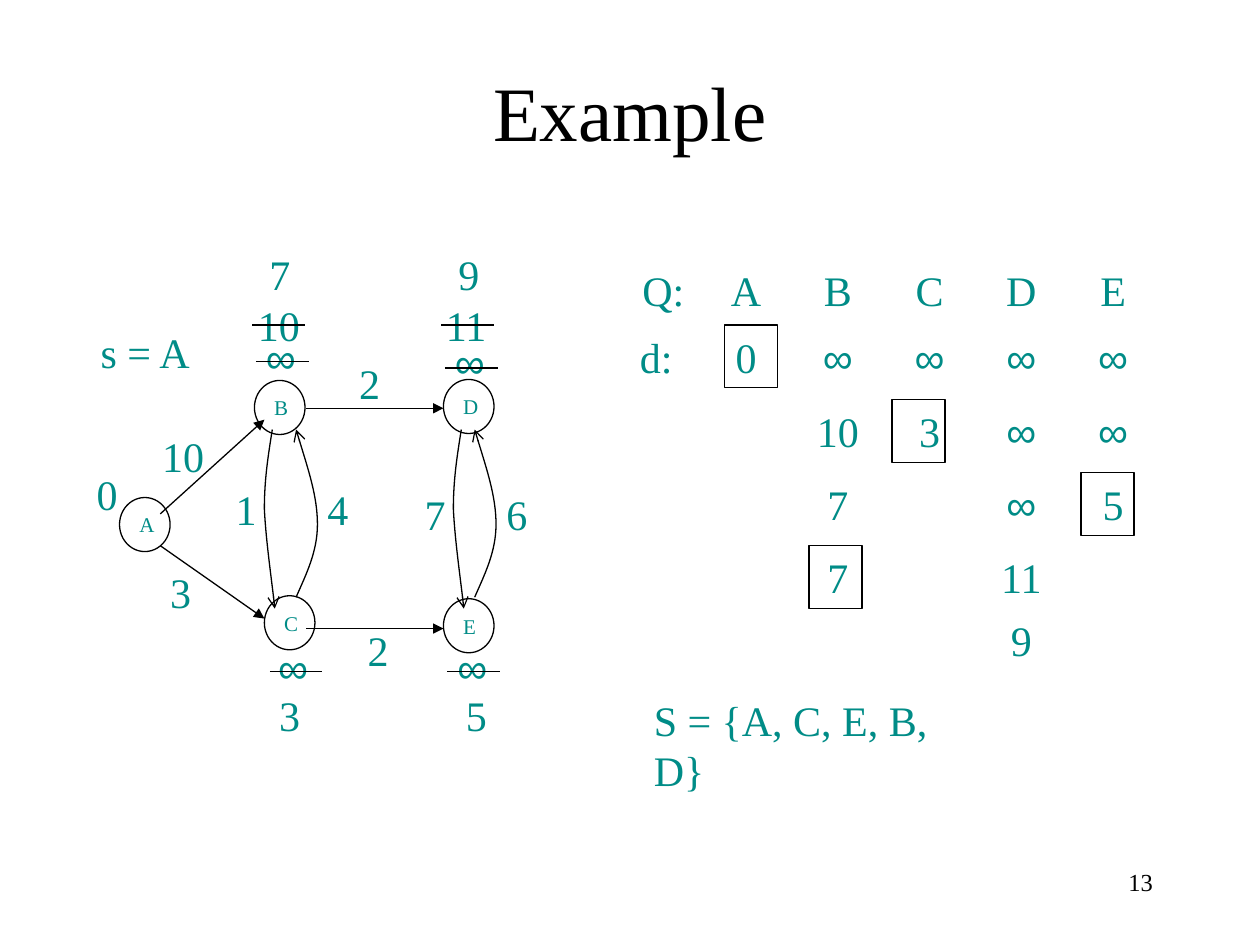
from typing import NamedTuple

from lxml.etree import SubElement
from pptx import Presentation
from pptx.dml.color import RGBColor
from pptx.enum.shapes import MSO_CONNECTOR, MSO_SHAPE
from pptx.enum.text import MSO_ANCHOR, PP_ALIGN
from pptx.oxml.ns import qn
from pptx.util import Cm, Pt

COLORS = {"ink": "000000", "teal": "008C87"}
SERIF, SANS = "Times New Roman", "Arial"
INFINITY = "∞"
LINE_WIDTH = Pt(0.75)
TEXT_HEIGHT = 1.27
TEXT_INSET = 0.25
NODE_SIZE = (1.02, 1.09)
MARK_SIZE = (1.07, TEXT_HEIGHT)
STRIKE_LENGTH = 1.06
FIRST_COLUMN, COLUMN_STEP = 15.04, 1.85
COLUMNS = "ABCDE"


class Label(NamedTuple):
    text: str
    left: float
    top: float
    width: float = 0.92


class Edge(NamedTuple):
    start: tuple[float, float]
    end: tuple[float, float]


class Row(NamedTuple):
    left: float
    top: float
    width: float
    cells: dict[str, str]
    heading: str = ""


NODES = [
    Label("A", 2.41, 10.03),
    Label("B", 5.13, 7.67),
    Label("C", 5.33, 12.01),
    Label("D", 8.94, 7.65),
    Label("E", 8.94, 12.07),
]
EDGES = [
    Edge((3.23, 10.36), (5.33, 8.46)),
    Edge((3.23, 11), (5.33, 12.47)),
    Edge((6.17, 8.23), (8.94, 8.23)),
    Edge((6.17, 12.67), (8.94, 12.67)),
]
DOWN_CURVE = [(5.49, 8.66), (5.41, 9.17), (5.33, 9.65), (5.33, 10.26),
              (5.36, 10.87), (5.51, 11.94), (5.54, 12.27)]
UP_CURVE = [(5.97, 12.04), (6.17, 11.58), (6.4, 11.13), (6.4, 10.57),
            (6.4, 10.01), (6.17, 9.33), (5.97, 8.66)]
CURVES = [(DOWN_CURVE, 0), (UP_CURVE, 0), (DOWN_CURVE, 3.81), (UP_CURVE, 3.6)]
EDGE_WEIGHTS = [
    Label("10", 3.02, 8.56, 1.35),
    Label("2", 6.99, 7.09),
    Label("3", 3.18, 11.3),
    Label("1", 4.5, 9.63),
    Label("4", 6.35, 9.63),
    Label("7", 8.31, 9.73),
    Label("6", 9.96, 9.73),
    Label("2", 7.16, 12.47),
]
DISTANCES = [
    Label("s = A", 1.78, 6.45, 2.34),
    Label("0", 1.7, 9.32),
    Label(INFINITY, 5.11, 6.55, 1.14),
    Label(INFINITY, 8.92, 6.65, 1.14),
    Label(INFINITY, 8.97, 12.8, 1.14),
    Label(INFINITY, 5.36, 12.8, 1.14),
    Label("3", 5.38, 13.77),
    Label("5", 9.14, 13.77),
    Label("10", 4.95, 5.92, 1.35),
    Label("7", 5.18, 4.88),
    Label("11", 8.74, 5.92, 1.35),
    Label("9", 8.99, 4.88),
]
STRIKES = [(5.16, 7.29), (8.97, 7.42), (9.02, 13.54),
           (5.44, 13.54), (5.08, 6.55), (8.89, 6.55)]
ROWS = [
    Row(12.7, 5.21, 10.36, {name: name for name in COLUMNS}, "Q:"),
    Row(12.65, 6.55, 10.49, {"A": "0"} | dict.fromkeys("BCDE", INFINITY), "d:"),
    Row(16.05, 8.05, 7.06, {"B": "10", "C": "3", "D": INFINITY, "E": INFINITY}),
    Row(16.08, 9.53, 7.06, {"B": "7", "D": INFINITY, "E": "5"}),
    Row(16.1, 11, 6.43, {"B": "7", "D": "11"}),
    Row(16.1, 12.27, 6.22, {"D": "9"}),
]
MARKS = [(14.61, 6.55), (17.98, 8.05), (21.79, 9.53), (16.31, 11)]
RESULT = Label("S = {A, C, E, B, D}", 12.93, 13.87, 7.24)
PAGE_NUMBER = Label("13", 18.21, 17.35, 5.28)


def add_run(paragraph, text: str, size: float = 24, color: str = "teal") -> None:
    run = paragraph.add_run()
    run.text = text
    settings = {"name": SANS if INFINITY in text else SERIF, "size": Pt(size)}
    for name, value in settings.items():
        setattr(run.font, name, value)
    run.font.color.rgb = RGBColor.from_string(COLORS[color])


def style_line(shape, arrowhead: str = ""):
    shape.line.width = LINE_WIDTH
    shape.line.color.rgb = RGBColor.from_string(COLORS["ink"])
    if arrowhead:
        SubElement(shape.line._get_or_add_ln(), qn("a:tailEnd"), type=arrowhead)
    return shape


def style_outline(shape, arrowhead: str = ""):
    shape.shadow.inherit = False
    shape.fill.background()
    return style_line(shape, arrowhead)


def add_outline(slide, kind: MSO_SHAPE, left: float, top: float, size: tuple[float, float]):
    return style_outline(slide.shapes.add_shape(kind, Cm(left), Cm(top), *map(Cm, size)))


def add_node(slide, node: Label) -> None:
    shape = add_outline(slide, MSO_SHAPE.OVAL, node.left, node.top, NODE_SIZE)
    shape.text_frame.vertical_anchor = MSO_ANCHOR.MIDDLE
    paragraph = shape.text_frame.paragraphs[0]
    paragraph.alignment = PP_ALIGN.CENTER
    add_run(paragraph, node.text, 12)


def add_line(slide, edge: Edge, arrowhead: str = "") -> None:
    connector = slide.shapes.add_connector(
        MSO_CONNECTOR.STRAIGHT, *map(Cm, edge.start + edge.end))
    style_line(connector, arrowhead)
    SubElement(connector._element.spPr, qn("a:effectLst"))


def add_curve(slide, points: list[tuple[float, float]], shift: float) -> None:
    start, *controls = [(Cm(x + shift), Cm(y)) for x, y in points]
    builder = slide.shapes.build_freeform(*start)
    builder.add_line_segments(controls, close=False)
    shape = style_outline(builder.convert_to_shape(), "arrow")
    outline = next(shape._element.iter(qn("a:path")))
    segments = outline.findall(qn("a:lnTo"))
    for first in range(0, len(segments), 3):
        bezier = SubElement(outline, qn("a:cubicBezTo"))
        for segment in segments[first:first + 3]:
            bezier.append(segment[0])
            outline.remove(segment)


def add_text_box(slide, left: float, top: float, width: float, wrap: bool = False):
    shape = slide.shapes.add_textbox(Cm(left), Cm(top), Cm(width), Cm(TEXT_HEIGHT))
    shape.text_frame.word_wrap = wrap
    return shape.text_frame.paragraphs[0]


def add_label(slide, label: Label) -> None:
    add_run(add_text_box(slide, label.left, label.top, label.width), label.text)


def add_row(slide, row: Row) -> None:
    paragraph = add_text_box(slide, row.left, row.top, row.width, wrap=True)
    tab_list = SubElement(paragraph._p.get_or_add_pPr(), qn("a:tabLst"))
    if row.heading:
        add_run(paragraph, row.heading)
    for column, text in row.cells.items():
        center = FIRST_COLUMN + COLUMNS.index(column) * COLUMN_STEP
        position = Cm(center - row.left - TEXT_INSET)
        SubElement(tab_list, qn("a:tab"), pos=str(position), algn="ctr")
        add_run(paragraph, "\t" + text)


def add_title(slide, text: str) -> None:
    title = slide.shapes.title
    frame = {"left": 1.9, "top": 0.64, "width": 21.6, "height": 3.18}
    for name, value in frame.items():
        setattr(title, name, Cm(value))
    title.text_frame.vertical_anchor = MSO_ANCHOR.MIDDLE
    paragraph = title.text_frame.paragraphs[0]
    paragraph.alignment = PP_ALIGN.CENTER
    add_run(paragraph, text, 44, "ink")


def main() -> None:
    presentation = Presentation()
    presentation.slide_width, presentation.slide_height = Cm(25.4), Cm(19.05)
    slide = presentation.slides.add_slide(presentation.slide_layouts[5])
    add_title(slide, "Example")
    for node in NODES:
        add_node(slide, node)
    for edge in EDGES:
        add_line(slide, edge, "triangle")
    for points, shift in CURVES:
        add_curve(slide, points, shift)
    for label in EDGE_WEIGHTS + DISTANCES + [RESULT]:
        add_label(slide, label)
    for x, y in STRIKES:
        add_line(slide, Edge((x, y), (x + STRIKE_LENGTH, y)))
    for row in ROWS:
        add_row(slide, row)
    for left, top in MARKS:
        add_outline(slide, MSO_SHAPE.RECTANGLE, left, top, MARK_SIZE)
    number = add_text_box(slide, *PAGE_NUMBER[1:], wrap=True)
    number.alignment = PP_ALIGN.RIGHT
    add_run(number, PAGE_NUMBER.text, 14, "ink")
    presentation.save("out.pptx")


if __name__ == "__main__":
    main()
